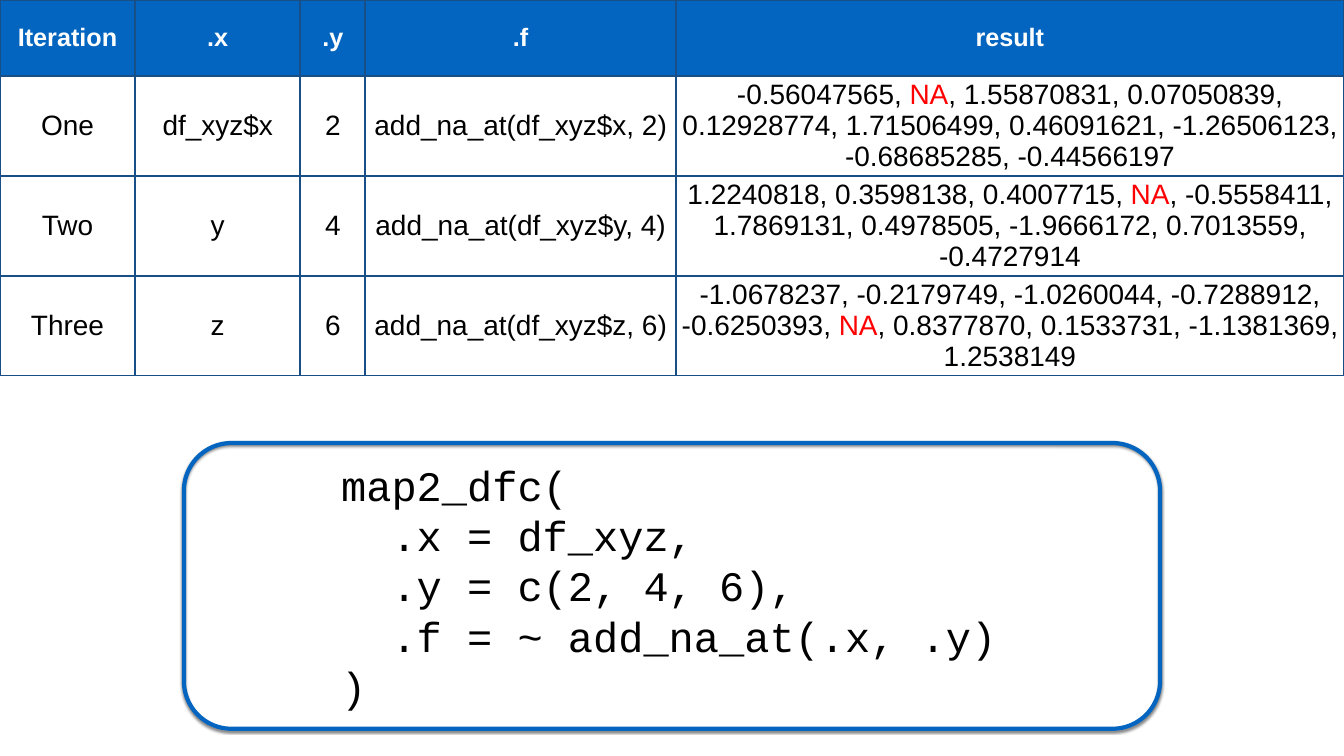
from lxml.etree import SubElement
from pptx import Presentation
from pptx.dml.color import RGBColor
from pptx.enum.shapes import MSO_SHAPE
from pptx.enum.text import MSO_ANCHOR, MSO_AUTO_SIZE, PP_ALIGN
from pptx.oxml import parse_xml
from pptx.oxml.ns import nsdecls, qn
from pptx.util import Inches, Pt

BLUE = RGBColor(0x03, 0x65, 0xC0)
EDGE = RGBColor(0x17, 0x4F, 0x86)
WHITE = RGBColor(255, 255, 255)
BLACK = RGBColor(0, 0, 0)
RED = RGBColor(255, 0, 0)
PAD = Inches(0.06)

# Content
HEAD = ["Iteration", ".x", ".y", ".f", "result"]
ROWS = [
    ["One", "df_xyz$x", "2", "add_na_at(df_xyz$x, 2)",
     "-0.56047565, NA, 1.55870831, 0.07050839, 0.12928774, 1.71506499, "
     "0.46091621, -1.26506123, -0.68685285, -0.44566197"],
    ["Two", "y", "4", "add_na_at(df_xyz$y, 4)",
     "1.2240818, 0.3598138, 0.4007715, NA, -0.5558411, 1.7869131, "
     "0.4978505, -1.9666172, 0.7013559, -0.4727914"],
    ["Three", "z", "6", "add_na_at(df_xyz$z, 6)",
     "-1.0678237, -0.2179749, -1.0260044, -0.7288912, -0.6250393, NA, "
     "0.8377870, 0.1533731, -1.1381369, 1.2538149"],
]
CODE = [
    "map2_dfc(",
    "  .x = df_xyz,",
    "  .y = c(2, 4, 6),",
    "  .f = ~ add_na_at(.x, .y)",
    ")",
]
WIDTHS = [2.68, 3.28, 1.29, 6.16, 13.26]
HEIGHT = 1.51


def style(run, font, size, color, bold=False):
    run.font.name = font
    run.font.size = Pt(size)
    run.font.bold = bold
    run.font.color.rgb = color


def pad(item):
    item.margin_left = item.margin_right = PAD
    item.margin_top = item.margin_bottom = PAD


def border(cell):
    props = cell._tc.get_or_add_tcPr()
    for spot, side in enumerate(("lnL", "lnR", "lnT", "lnB")):
        line = parse_xml(f'<a:{side} {nsdecls("a")} w="{Pt(3)}"/>')
        fill = SubElement(line, qn("a:solidFill"))
        SubElement(fill, qn("a:srgbClr"), val=str(EDGE))
        props.insert(spot, line)


def fill_cell(cell, text, head):
    cell.fill.solid()
    cell.fill.fore_color.rgb = BLUE if head else WHITE
    cell.vertical_anchor = MSO_ANCHOR.MIDDLE
    pad(cell)
    border(cell)
    para = cell.text_frame.paragraphs[0]
    para.alignment = PP_ALIGN.CENTER
    # Missing values stand out in red
    before, mark, after = text.partition("NA")
    for part in filter(None, (before, mark, after)):
        run = para.add_run()
        run.text = part
        color = WHITE if head else RED if part == "NA" else BLACK
        style(run, "Arial", 36 if head else 40, color, head)


deck = Presentation()
deck.slide_width, deck.slide_height = Inches(26.67), Inches(15)
slide = deck.slides.add_slide(deck.slide_layouts[6])

# Iteration table
grid = [HEAD] + ROWS
table = slide.shapes.add_table(
    len(grid), len(HEAD), 0, 0,
    Inches(sum(WIDTHS)), Inches(HEIGHT * len(grid))).table
for col, width in zip(table.columns, WIDTHS):
    col.width = Inches(width)
for r, row in enumerate(grid):
    table.rows[r].height = Inches(HEIGHT)
    for c, text in enumerate(row):
        fill_cell(table.cell(r, c), text, r == 0)

# Code listing
group = slide.shapes.add_group_shape()
code = group.shapes.add_textbox(
    Inches(6.71), Inches(9.05), Inches(13.24), Inches(5.16))
frame = code.text_frame
frame.text = "\n".join(CODE)
frame.word_wrap = False
frame.auto_size = MSO_AUTO_SIZE.SHAPE_TO_FIT_TEXT
pad(frame)
for para in frame.paragraphs:
    para.alignment = PP_ALIGN.LEFT
    style(para.runs[0], "Courier New", 60, BLACK)

# Rounded frame with a soft shadow
box = group.shapes.add_shape(
    MSO_SHAPE.ROUNDED_RECTANGLE,
    Inches(3.65), Inches(8.79), Inches(19.37), Inches(5.67))
box.fill.background()
box.line.color.rgb = BLUE
box.line.width = Pt(6)
box.shadow.inherit = False
effects = box._element.spPr.find(qn("a:effectLst"))
shade = SubElement(effects, qn("a:outerShdw"), blurRad=str(Pt(3)),
                   dist=str(Pt(2)), dir="5400000", rotWithShape="0")
tint = SubElement(shade, qn("a:srgbClr"), val=str(BLACK))
SubElement(tint, qn("a:alpha"), val="50000")

deck.save("out.pptx")
